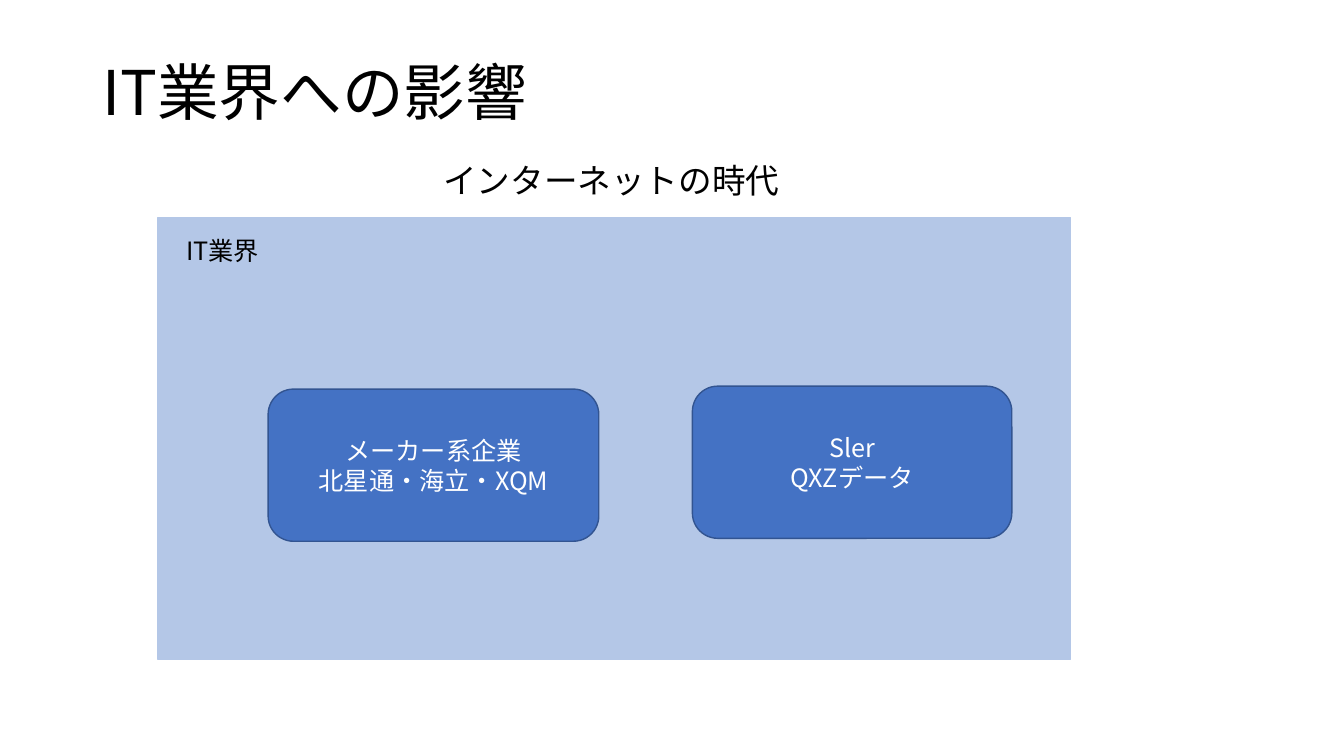
from pptx import Presentation
from pptx.dml.color import RGBColor
from pptx.enum import shapes, text
from pptx.oxml import ns
from pptx.util import Pt
from lxml import etree

FONT = "Noto Sans CJK JP"
BLACK, WHITE = "000000", "FFFFFF"
PALE_BLUE, BLUE, DARK_BLUE = "B4C7E7", "4472C4", "325491"


def colour(hex_value):
    return RGBColor.from_string(hex_value)


def write(frame, lines, size, ink, **formats):
    """Fill a text frame, one paragraph per line."""
    frame.word_wrap = True
    frame.text = "\n".join(lines)
    for paragraph in frame.paragraphs:
        for name, value in formats.items():
            setattr(paragraph, name, value)
        for run in paragraph.runs:
            for name, value in {"size": Pt(size), "name": FONT}.items():
                setattr(run.font, name, value)
            run.font.color.rgb = colour(ink)
            # East Asian typeface
            east_asian = etree.SubElement(run.font._element, ns.qn("a:ea"))
            east_asian.set("typeface", FONT)


def add_label(slide, box, line, size, anchor=text.MSO_ANCHOR.TOP, **formats):
    label = slide.shapes.add_textbox(*map(Pt, box))
    label.text_frame.vertical_anchor = anchor
    write(label.text_frame, [line], size, BLACK, **formats)


def add_block(slide, kind, box, fill, outline):
    block = slide.shapes.add_shape(kind, *map(Pt, box))
    block.shadow.inherit = False
    block.fill.solid()
    block.fill.fore_color.rgb = colour(fill)
    block.line.color.rgb = colour(outline)
    block.line.width = Pt(1)
    return block


def add_company_group(slide, box, lines):
    group = add_block(slide, shapes.MSO_SHAPE.ROUNDED_RECTANGLE, box, BLUE, DARK_BLUE)
    group.text_frame.vertical_anchor = text.MSO_ANCHOR.MIDDLE
    write(group.text_frame, lines, 18, WHITE, alignment=text.PP_ALIGN.CENTER)


def main():
    deck = Presentation()
    deck.slide_width, deck.slide_height = Pt(960), Pt(540)
    slide = deck.slides.add_slide(deck.slide_layouts[6])

    # Headings
    add_label(slide, (66, 28.8, 828, 78.5), "IT業界への影響", 44,
              text.MSO_ANCHOR.MIDDLE, line_spacing=0.9)
    add_label(slide, (309.6, 110.9, 257, 36), "インターネットの時代", 24)

    # Industry area
    add_block(slide, shapes.MSO_SHAPE.RECTANGLE, (113, 155.5, 651.6, 315.4),
              PALE_BLUE, PALE_BLUE)
    add_label(slide, (126, 164.9, 67.7, 28.8), "IT業界", 18)

    # Company groups
    add_company_group(slide, (191.5, 277.9, 236.2, 108.7),
                      ["メーカー系企業", "北星通・海立・XQM"])
    add_company_group(slide, (494.6, 275.8, 228.2, 108.7),
                      ["Sler", "QXZデータ"])

    deck.save("out.pptx")


if __name__ == "__main__":
    main()
